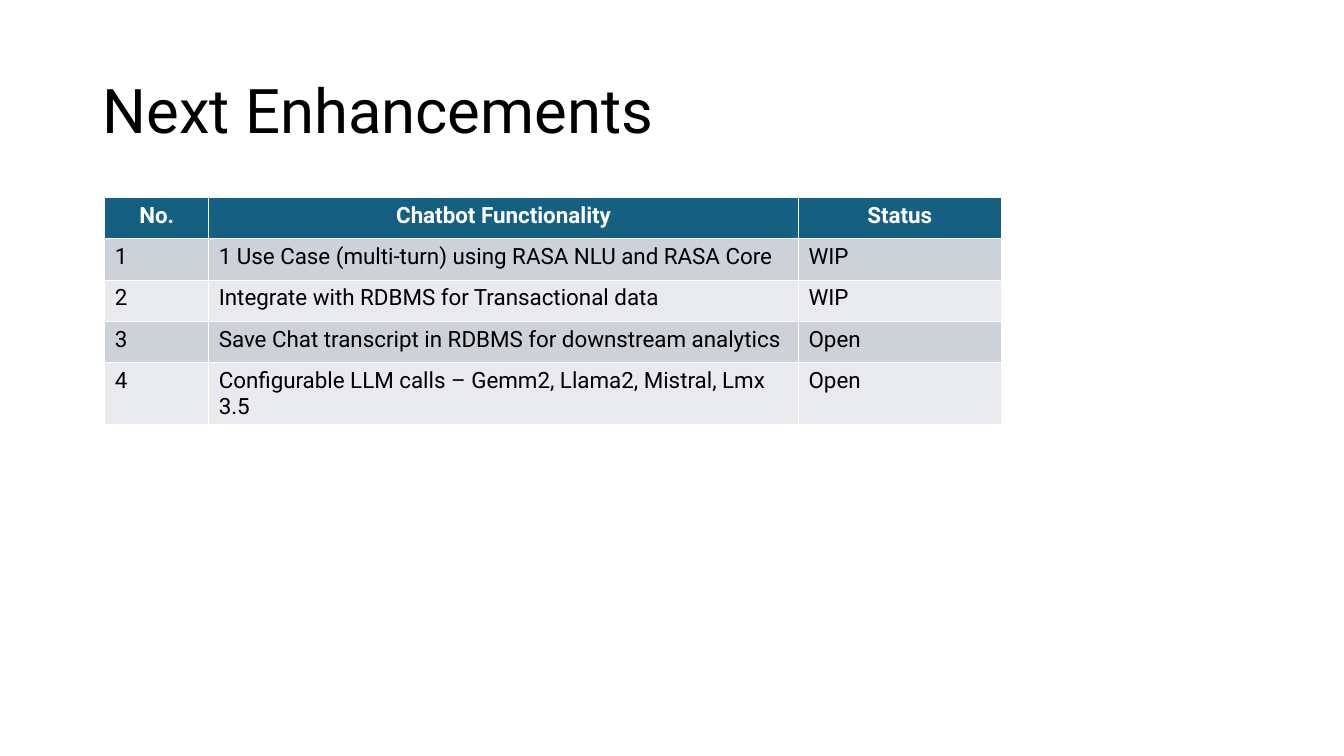
from pptx import Presentation
from pptx.dml.color import RGBColor
from pptx.enum.text import MSO_ANCHOR, PP_ALIGN
from pptx.util import Inches, Pt

TITLE = "Next Enhancements"
HEAD = ("No.", "Chatbot Functionality", "Status")
TASKS = [
    ("1", "1 Use Case (multi-turn) using RASA NLU and RASA Core", "WIP"),
    ("2", "Integrate with RDBMS for Transactional data", "WIP"),
    ("3", "Save Chat transcript in RDBMS for downstream analytics", "Open"),
    ("4", "Configurable LLM calls – Gemm2, Llama2, Mistral, Lmx 3.5", "Open"),
]
WIDTHS = (1.03, 5.85, 2.01)
ROW = 0.41
THEME = {
    "font": "Roboto",
    "title": Pt(44),
    "body": Pt(16),
    "ink": RGBColor.from_string("000000"),
    "light": RGBColor.from_string("FFFFFF"),
    "head": RGBColor.from_string("156082"),
    "bands": [RGBColor.from_string(tone) for tone in ("CCD2D8", "E8EAED")],
}


def apply(item, values):
    for name, value in values.items():
        setattr(item, name, value)


def write(frame, text, align, size, color, bold=False):
    frame.text = text
    para = frame.paragraphs[0]
    para.alignment = align
    font = para.runs[0].font
    apply(font, {"name": THEME["font"], "size": size, "bold": bold})
    font.color.rgb = color
    return para


def add_title(slide):
    title = slide.shapes.title
    apply(title, {"left": Inches(0.92), "top": Inches(0.4),
                  "width": Inches(11.5), "height": Inches(1.45)})
    frame = title.text_frame
    para = write(frame, TITLE, PP_ALIGN.LEFT, THEME["title"], THEME["ink"])
    para.line_spacing = 0.9
    apply(frame, {"vertical_anchor": MSO_ANCHOR.MIDDLE, "word_wrap": True})


def add_tasks(slide):
    rows = [HEAD, *TASKS]
    table = slide.shapes.add_table(
        len(rows), len(HEAD), Inches(1.04), Inches(1.96),
        Inches(sum(WIDTHS)), Inches(ROW * len(rows))).table
    for col, width in zip(table.columns, WIDTHS):
        col.width = Inches(width)
    for y, row in enumerate(rows):
        table.rows[y].height = Inches(ROW)
        top = y == 0
        fill = THEME["head"] if top else THEME["bands"][(y - 1) % 2]
        color = THEME["light"] if top else THEME["ink"]
        align = PP_ALIGN.CENTER if top else PP_ALIGN.LEFT
        for x, text in enumerate(row):
            cell = table.cell(y, x)
            cell.fill.solid()
            cell.fill.fore_color.rgb = fill
            write(cell.text_frame, text, align, THEME["body"], color, top)


def main():
    deck = Presentation()
    apply(deck, {"slide_width": Inches(13.33), "slide_height": Inches(7.5)})
    slide = deck.slides.add_slide(deck.slide_layouts[5])
    add_title(slide)
    add_tasks(slide)
    deck.save("out.pptx")


if __name__ == "__main__":
    main()
